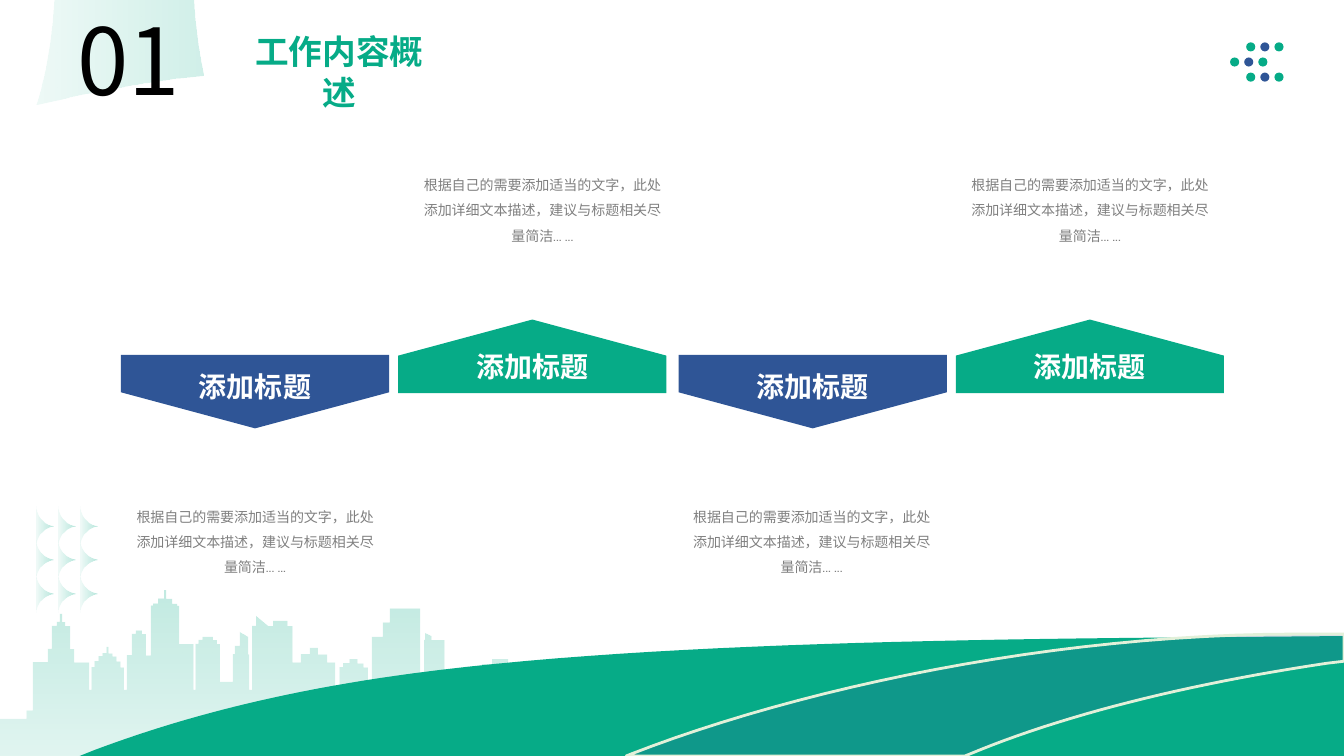
from collections import namedtuple
from itertools import product
from lxml.etree import SubElement
from pptx import Presentation
from pptx.dml.color import RGBColor
from pptx.enum.shapes import MSO_SHAPE
from pptx.enum.text import MSO_AUTO_SIZE, PP_ALIGN
from pptx.oxml.ns import qn
from pptx.util import Pt

PX = 9144  # 100 px to the inch
WIDE, HIGH = 1333, 750
GREEN, BLUE, CREAM = "06AB87", "2F5596", "E2F0D9"
BLACK, WHITE, GRAY = "000000", "FFFFFF", "808080"
BODY = "根据自己的需要添加适当的文字，此处添加详细文本描述，建议与标题相关尽量简洁... ..."

Block = namedtuple("Block", "left right top drop")
Style = namedtuple("Style", "top turn color label body")
UP = Style(top=317, turn=270, color=GREEN, label=342, body=162)
DOWN = Style(top=352, turn=90, color=BLUE, label=362, body=491)


def tint(code):
    return RGBColor.from_string(code)


def bend(start, ctrl, steps=24):
    """Points along a cubic curve from start; ctrl holds two controls and the end."""
    x0, y0 = start
    x1, y1, x2, y2, x3, y3 = ctrl
    for i in range(1, steps + 1):
        t = i / steps
        a, b, c, d = (1 - t) ** 3, 3 * t * (1 - t) ** 2, 3 * t * t * (1 - t), t ** 3
        yield a * x0 + b * x1 + c * x2 + d * x3, a * y0 + b * y1 + c * y2 + d * y3


class Board:
    def __init__(self, slide, face="Cabin", asian="Noto Sans CJK SC"):
        self.shapes, self.face, self.asian = slide.shapes, face, asian

    def paint(self, shape, color, alphas=(100,), angle=0):
        """One alpha gives a solid fill, two give a gradient."""
        shape.shadow.inherit = False
        shape.line.fill.background()
        fill = shape.fill
        if len(alphas) == 1:
            fill.solid()
            fill.fore_color.rgb = tint(color)
        else:
            fill.gradient()
            fill.gradient_angle = angle
            for stop in fill.gradient_stops:
                stop.color.rgb = tint(color)
        for node, alpha in zip(shape.element.spPr.iter(qn("a:srgbClr")), alphas):
            if alpha < 100:
                SubElement(node, qn("a:alpha")).set("val", str(alpha * 1000))

    def form(self, steps, color, alphas=(100,), angle=0, edge=None):
        """Closed outline; a step of two numbers is a line, of six a curve."""
        dots = [steps[0]]
        for step in steps[1:]:
            dots.extend([step] if len(step) == 2 else bend(dots[-1], step))
        first, *rest = [(x * PX, y * PX) for x, y in dots]
        pen = self.shapes.build_freeform(*first, scale=1.0)
        pen.add_line_segments(rest, close=True)
        shape = pen.convert_to_shape()
        self.paint(shape, color, alphas, angle)
        if edge:
            shape.line.color.rgb = tint(edge)
            shape.line.width = Pt(2)

    def dot(self, x, y, size, color):
        shape = self.shapes.add_shape(MSO_SHAPE.OVAL, x * PX, y * PX, size * PX, size * PX)
        self.paint(shape, color)

    def plate(self, mid, top, turn, color, wide=266, high=73):
        """Pentagon of the given size on the page, its tip turned up or down."""
        left, upper = mid * PX - high * PX // 2, top * PX + (high - wide) * PX // 2
        shape = self.shapes.add_shape(MSO_SHAPE.PENTAGON, left, upper, high * PX, wide * PX)
        shape.adjustments[0] = 0.49
        shape.rotation = turn
        self.paint(shape, color)

    def text(self, x, y, w, h, words, size, color, bold=False,
             align=PP_ALIGN.CENTER, gap=None, face=None):
        box = self.shapes.add_textbox(x * PX, y * PX, w * PX, h * PX)
        frame = box.text_frame
        frame.word_wrap = True
        frame.auto_size = MSO_AUTO_SIZE.SHAPE_TO_FIT_TEXT
        para = frame.paragraphs[0]
        para.alignment = align
        if gap:
            para.line_spacing = gap
        run = para.add_run()
        run.text = words
        font = run.font
        font.name, font.size, font.bold = face or self.face, Pt(size), bold
        font.color.rgb = tint(color)
        SubElement(run._r.get_or_add_rPr(), qn("a:ea")).set("typeface", self.asian)


def tower(mid, *tiers, drop=0):
    """Blocks centred on mid, one per (width, top); drop slants the roof to the right."""
    return [Block(mid - wide // 2, mid + wide // 2, top, drop) for wide, top in tiers]


def city():
    ground = tower(256, (512, 713)) + tower(235, (416, 705))
    walls = tower(189, (202, 684)) + tower(225, (14, 676))
    clock = tower(61, (56, 657), (26, 644), (18, 621), (8, 617), (2, 609))
    hall = tower(107, (32, 662), (26, 656), (18, 651), (10, 648), (2, 642))
    wing = tower(138, (24, 650), (14, 629), (6, 626))
    spire = tower(164, (28, 601), (24, 599), (14, 594), (2, 586))
    annex = tower(185, (14, 639))
    dome = tower(206, (24, 639), (18, 635), (10, 632))
    slim = tower(239, (16, 649), (12, 641)) + tower(242, (8, 627), drop=5)
    hotel = tower(270, (40, 621)) + tower(278, (14, 616)) + tower(260, (12, 611), drop=10)
    depot = tower(311, (42, 657), (26, 649), (8, 643))
    lodge = tower(350, (28, 662), (20, 658), (8, 654))
    bank = tower(377, (18, 632)) + tower(383, (8, 618)) + tower(401, (30, 604))
    shed = tower(430, (20, 635)) + tower(424, (6, 628), drop=3)
    far = tower(495, (36, 659), (16, 654))
    return (ground + walls + clock + hall + wing + spire + annex + dome
            + slim + hotel + depot + lodge + bank + shed + far)


def roof(block, x):
    return block.top + block.drop * (x - block.left) / (block.right - block.left)


def skyline(blocks):
    """Outline of all blocks seen together: the highest roof wins between two walls."""
    walls = sorted({x for b in blocks for x in (b.left, b.right)})
    steps = [(walls[0], HIGH)]
    for left, right in zip(walls, walls[1:]):
        mid = (left + right) / 2
        over = [b for b in blocks if b.left < mid < b.right]
        best = min(over, key=lambda b: roof(b, mid))
        steps += [(left, roof(best, left)), (right, roof(best, right))]
    return steps + [(walls[-1], HIGH)]


def fan(x, y, size=19, pull=10):
    """Point to the right with two hollow sides, size wide and twice as high."""
    tip, mid, foot = x + size, y + size, y + 2 * size
    near = tip - pull
    return [(x, y), (x, y + pull, near, mid, tip, mid),
            (near, mid, x, foot - pull, x, foot)]


def scene(board):
    ribbon = [(54, 0), (192, 0), (193, 23, 196, 45, 200, 65), (202, 75), (174, 78),
              (162, 80, 151, 82, 141, 83), (113, 88, 87, 92, 63, 98),
              (36, 104), (39, 94), (47, 66, 52, 34, 54, 0)]
    hill = [(WIDE, 631), (WIDE, HIGH), (79, HIGH), (94, 744),
            (177, 713, 275, 686, 410, 668), (620, 640, 916, 634, 1223, 632)]
    road = [(1286, 629), (WIDE, 629), (WIDE, 656), (1316, 658),
            (1175, 679, 1053, 710, 962, 748), (957, HIGH), (621, HIGH), (626, 748),
            (793, 683, 1044, 629, 1286, 629)]
    board.form(ribbon, GREEN, (7, 19))
    board.form(skyline(city()), GREEN, (25, 12), 270)
    board.form(hill, GREEN)
    board.form(road, BLUE, (22,), edge=CREAM)

    for row, left in enumerate((1236, 1220, 1236)):
        for col, color in enumerate((GREEN, BLUE, GREEN)):
            board.dot(left + 14 * col, 42 + 15 * row, 9, color)

    for col, row in product(range(3), repeat=2):
        board.form(fan(36 + 22 * col, 503 + 67 * row // 2), GREEN, (6, 33))


def main():
    deck = Presentation()
    deck.slide_width, deck.slide_height = WIDE * PX, HIGH * PX
    board = Board(deck.slides.add_slide(deck.slide_layouts[6]))
    scene(board)
    board.text(67, -2, 146, 121, "01", 66, BLACK, align=PP_ALIGN.LEFT, face=board.asian)
    board.text(227, 26, 219, 50, "工作内容概述", 24, GREEN, True)

    columns = [(253, 253, DOWN), (528, 538, UP), (806, 805, DOWN), (1081, 1081, UP)]
    for mid, center, style in columns:
        board.plate(mid, style.top, style.turn, style.color)
        board.text(mid - 112, style.label, 224, 42, "添加标题", 20, WHITE, True)
        board.text(center - 128, style.body, 256, 83, BODY, 10, GRAY, gap=1.5)
    deck.save("out.pptx")


if __name__ == "__main__":
    main()
